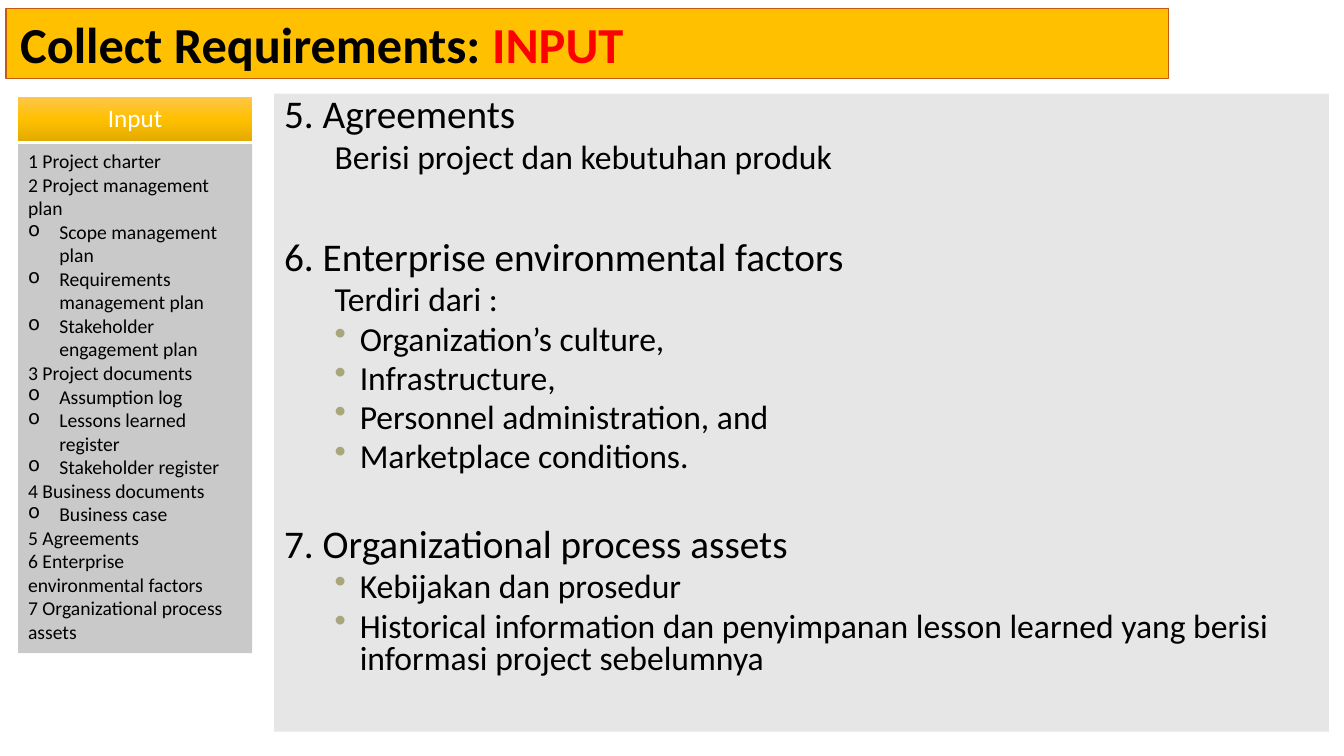
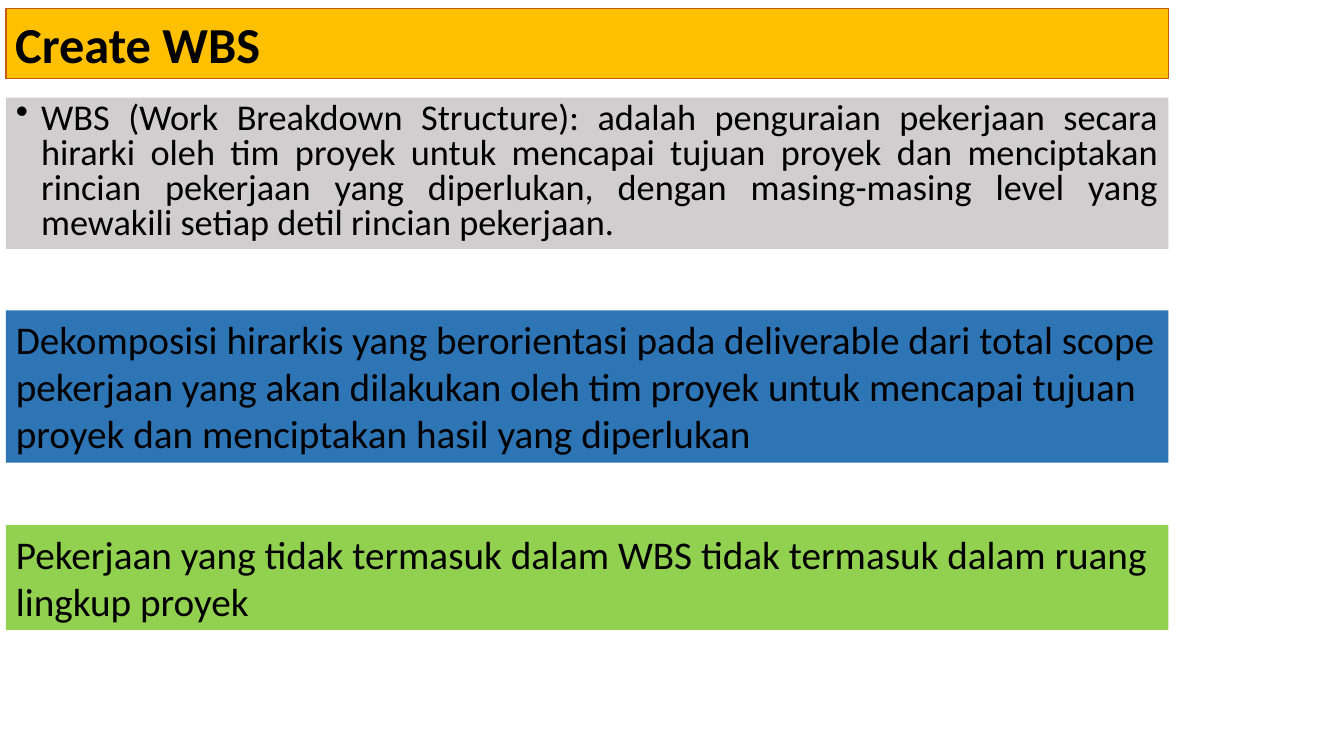
from copy import deepcopy

from lxml import etree
from pptx import Presentation
from pptx.dml.color import RGBColor
from pptx.enum import shapes, text
from pptx.oxml import ns
from pptx.util import Inches, Pt

FONT = "Calibri"
COLORS = {
    "title": "FFC000", "title_line": "C55A11", "black": "000000",
    "accent": "FF0000", "white": "FFFFFF", "panel": "E7E6E6",
    "sidebar": "C9C9C9", "bullet": "A9A57C", "definition": "D0CECE",
    "blue": "2E75B6", "green": "92D050",
}
HEADER_STOPS = [(0, "FFC64B"), (0.5, "FFC000"), (1, "E3AB00")]
LEFT, WIDTH = 0.06, 11.53
SIDEBAR_LEFT, SIDEBAR_WIDTH = 0.18, 2.32

# Paragraph styles: font, paragraph format, indent (left, first line), bullet
STYLES = {
    "title": {"font": {"size": Pt(36), "bold": True}},
    "header": {"font": {"size": Pt(18)}, "color": "white",
               "format": {"alignment": text.PP_ALIGN.CENTER, "line_spacing": 0.9}},
    "item": {"font": {"size": Pt(14)}},
    "subitem": {"font": {"size": Pt(14)}, "indent": (0.31, -0.31), "bullet": "o"},
    "heading": {"font": {"size": Pt(28)}, "format": {"line_spacing": 0.8}},
    "detail": {"font": {"size": Pt(24)}, "indent": (0.5, 0),
               "format": {"line_spacing": 0.8, "space_before": Pt(5)}},
    "point": {"font": {"size": Pt(24)}, "indent": (0.75, -0.25),
              "bullet": "•", "bullet_color": "bullet",
              "format": {"line_spacing": 0.8, "space_before": Pt(5)}},
    "definition": {"font": {"size": Pt(25.9)}, "indent": (0.25, -0.25), "bullet": "•",
                   "format": {"alignment": text.PP_ALIGN.JUSTIFY, "line_spacing": 0.8}},
    "statement": {"font": {"size": Pt(28)}},
}

SIDEBAR = [
    ("item", "1 Project charter"),
    ("item", "2 Project management plan"),
    ("subitem", "Scope management plan"),
    ("subitem", "Requirements management plan"),
    ("subitem", "Stakeholder engagement plan"),
    ("item", "3 Project documents"),
    ("subitem", "Assumption log"),
    ("subitem", "Lessons learned register"),
    ("subitem", "Stakeholder register"),
    ("item", "4 Business documents"),
    ("subitem", "Business case"),
    ("item", "5 Agreements"),
    ("item", "6 Enterprise environmental factors"),
    ("item", "7 Organizational process assets"),
]
# A third value is the space before the paragraph, in points
INPUTS = [
    ("heading", "5. Agreements"),
    ("detail", "Berisi project dan kebutuhan produk"),
    ("heading", "6. Enterprise environmental factors", 47),
    ("detail", "Terdiri dari :"),
    ("point", "Organization’s culture,"),
    ("point", "Infrastructure,"),
    ("point", "Personnel administration, and"),
    ("point", "Marketplace conditions."),
    ("heading", "7. Organizational process assets", 38),
    ("point", "Kebijakan dan prosedur"),
    ("point", "Historical information dan penyimpanan lesson learned yang berisi "
              "informasi project sebelumnya"),
]
WBS_BLOCKS = [
    (0.97, 1.5, "definition", "definition",
     "WBS (Work Breakdown Structure): adalah penguraian pekerjaan secara hirarki oleh "
     "tim proyek untuk mencapai tujuan proyek dan menciptakan rincian pekerjaan yang "
     "diperlukan, dengan masing-masing level yang mewakili setiap detil rincian pekerjaan."),
    (3.08, 1.51, "blue", "statement",
     "Dekomposisi hirarkis yang berorientasi pada deliverable dari total scope pekerjaan "
     "yang akan dilakukan oleh tim proyek untuk mencapai tujuan proyek dan menciptakan "
     "hasil yang diperlukan"),
    (5.21, 1.04, "green", "statement",
     "Pekerjaan yang tidak termasuk dalam WBS tidak termasuk dalam ruang lingkup proyek"),
]


def rgb(name):
    return RGBColor.from_string(COLORS[name])


def set_all(target, values):
    for name, value in values.items():
        setattr(target, name, value)


def set_indent_and_bullet(para, style):
    properties = para._p.get_or_add_pPr()
    left, first = style.get("indent", (0, 0))
    properties.set("marL", str(Inches(left)))
    properties.set("indent", str(Inches(first)))
    if "bullet_color" in style:
        color = etree.SubElement(properties, ns.qn("a:buClr"))
        etree.SubElement(color, ns.qn("a:srgbClr"), val=COLORS[style["bullet_color"]])
    if "bullet" in style:
        etree.SubElement(properties, ns.qn("a:buChar"), char=style["bullet"])


def add_span(para, wording, style, color):
    span = para.add_run()
    span.text = wording
    set_all(span.font, {"name": FONT, **style["font"]})
    span.font.color.rgb = rgb(color)


def write(box, entries):
    """Fill the box with (style, wording[, space before]) paragraphs."""
    frame = box.text_frame
    for index, (kind, wording, *space) in enumerate(entries):
        para = frame.add_paragraph() if index else frame.paragraphs[0]
        style = STYLES[kind]
        set_indent_and_bullet(para, style)
        set_all(para, {"alignment": text.PP_ALIGN.LEFT, **style.get("format", {})})
        if space:
            para.space_before = Pt(space[0])
        add_span(para, wording, style, style.get("color", "black"))


def add_block(page, place, fill, entries):
    box = page.shapes.add_shape(shapes.MSO_SHAPE.RECTANGLE, *map(Inches, place))
    box.shadow.inherit = False
    box.fill.solid()
    box.fill.fore_color.rgb = rgb(fill)
    box.line.fill.background()
    set_all(box.text_frame, {"word_wrap": True, "vertical_anchor": text.MSO_ANCHOR.TOP})
    write(box, entries)
    return box


def add_title(page, wording, highlight="", inset=0.09):
    bar = add_block(page, (LEFT, 0.08, WIDTH, 0.7), "title", [("title", wording)])
    bar.text_frame.margin_left = Inches(inset)
    bar.line.color.rgb = rgb("title_line")
    bar.line.width = Pt(0.75)
    if highlight:
        add_span(bar.text_frame.paragraphs[0], highlight, STYLES["title"], "accent")


def add_sidebar_header(page, wording):
    header = add_block(page, (SIDEBAR_LEFT, 0.96, SIDEBAR_WIDTH, 0.44), "title",
                       [("header", wording)])
    header.text_frame.vertical_anchor = text.MSO_ANCHOR.MIDDLE
    header.fill.gradient()
    header.fill.gradient_angle = 270
    stops = header._element.spPr.find(ns.qn("a:gradFill")).find(ns.qn("a:gsLst"))
    stops.insert(1, deepcopy(stops[0]))
    for stop, (position, color) in zip(header.fill.gradient_stops, HEADER_STOPS):
        stop.position = position
        stop.color.rgb = RGBColor.from_string(color)


def build_inputs(page):
    add_title(page, "Collect Requirements: ", "INPUT", inset=0.14)
    add_sidebar_header(page, "Input")
    add_block(page, (2.72, 0.93, 10.46, 6.33), "panel", INPUTS)
    add_block(page, (SIDEBAR_LEFT, 1.43, SIDEBAR_WIDTH, 5.05), "sidebar", SIDEBAR)


def build_wbs(page):
    add_title(page, "Create WBS")
    for top, height, fill, style, wording in WBS_BLOCKS:
        add_block(page, (LEFT, top, WIDTH, height), fill, [(style, wording)])


def main():
    deck = Presentation()
    set_all(deck, {"slide_width": Inches(13.33), "slide_height": Inches(7.5)})
    for build in (build_inputs, build_wbs):
        build(deck.slides.add_slide(deck.slide_layouts[6]))
    deck.save("out.pptx")


if __name__ == "__main__":
    main()
